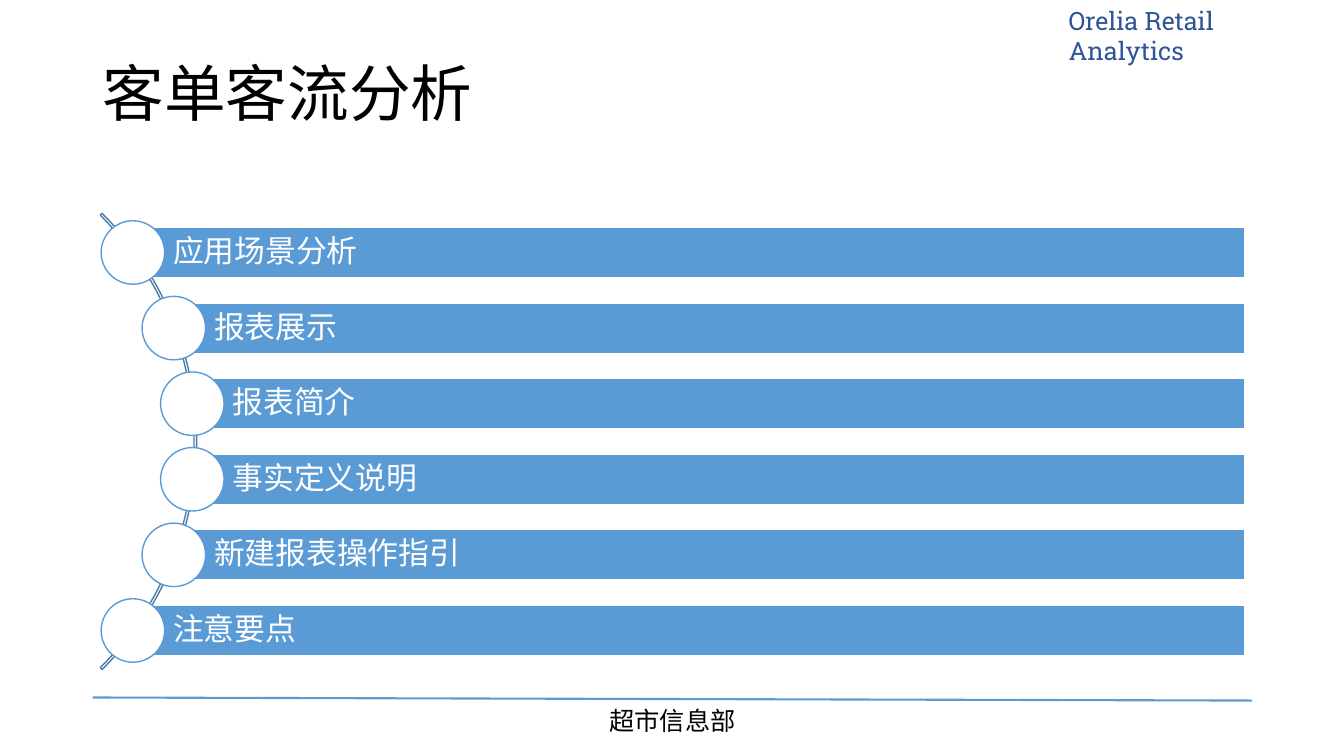
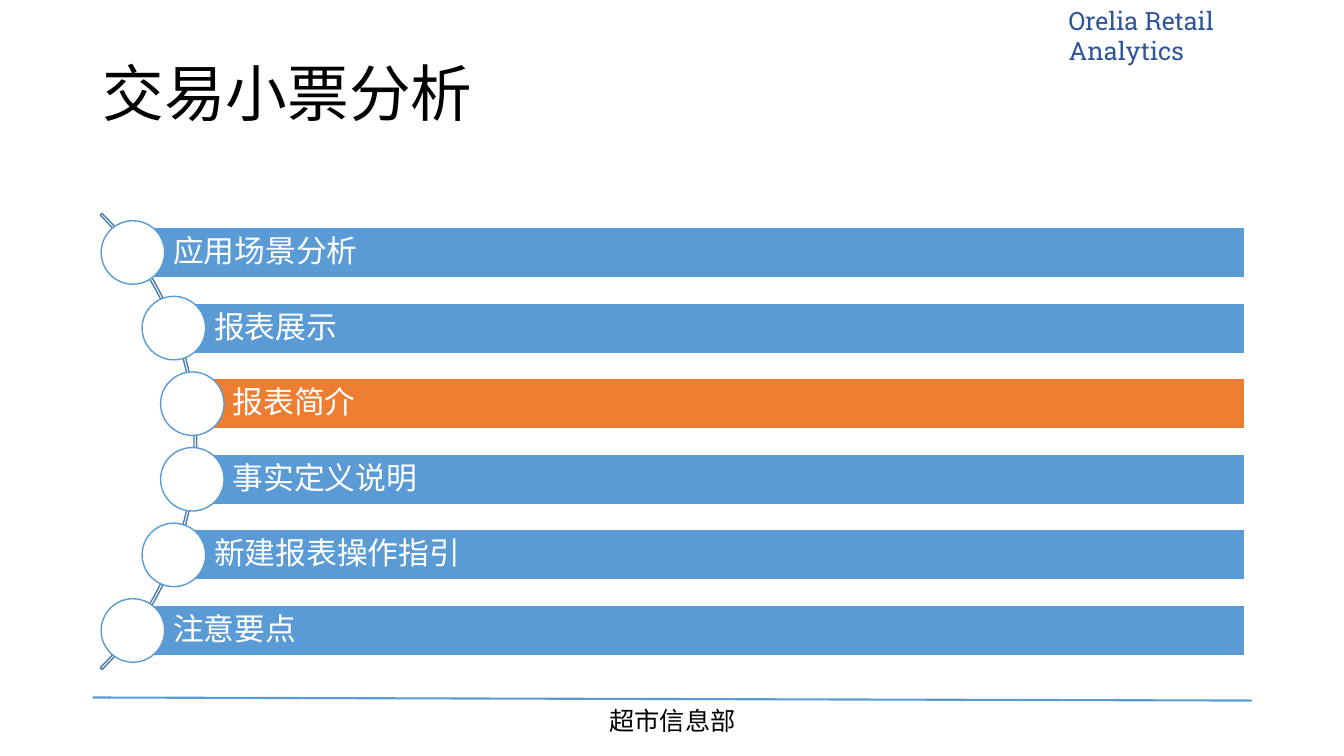
from dataclasses import dataclass
from math import sqrt

from lxml.etree import SubElement as Sub
from pptx import Presentation
from pptx.dml.color import RGBColor as Rgb
from pptx.enum.shapes import MSO_CONNECTOR as Conn, MSO_SHAPE as Geo
from pptx.enum.text import MSO_ANCHOR as Anchor, PP_ALIGN as Align
from pptx.oxml.ns import qn
from pptx.util import Inches, Pt


# Colours, fonts and type sizes
@dataclass(frozen=True)
class Theme:
    blue: str = "5B9BD5"
    navy: str = "2F5597"
    steel: str = "497CAB"
    orange: str = "ED7D31"
    white: str = "FFFFFF"
    black: str = "000000"
    body: str = "Calibri"
    slab: str = "Roboto Slab"
    han: str = "Noto Sans CJK SC"
    head: int = 44
    item: int = 22
    small: int = 18


T = Theme()

TOPICS = ["应用场景分析", "报表展示", "报表简介",
          "事实定义说明", "新建报表操作指引", "注意要点"]
# Title and index of the highlighted topic
PAGES = [("客单客流分析", None), ("交易小票分析", 2)]

# List geometry: dots sit on an arc, bars start at the dot centres
MID_X, MID_Y = -1.25, 4.38
ARC, TRACK = 3.2, 3.18
PITCH, BAR, DOT = 0.75, 0.5, 0.63
RIGHT = 12.35


def write(shape, text, size, color, font=T.body, align=Align.LEFT,
          anchor=Anchor.TOP, pads=(0.1, 0.05, 0.1, 0.05), lead=1.0):
    frame = shape.text_frame
    frame.word_wrap = True
    frame.vertical_anchor = anchor
    (frame.margin_left, frame.margin_top,
     frame.margin_right, frame.margin_bottom) = map(Inches, pads)
    para = frame.paragraphs[0]
    para.text = text
    para.alignment = align
    para.line_spacing = lead
    para.font.size = Pt(size)
    para.font.name = font
    para.font.color.rgb = Rgb.from_string(color)
    # East Asian typeface
    base = para._p.pPr.find(qn("a:defRPr"))
    Sub(base, qn("a:ea")).set("typeface", T.han)


def label(slide, box, *args, **style):
    write(slide.shapes.add_textbox(*map(Inches, box)), *args, **style)


def draw(slide, kind, box, fill, line):
    shape = slide.shapes.add_shape(kind, *map(Inches, box))
    shape.shadow.inherit = False
    if fill:
        shape.fill.solid()
        shape.fill.fore_color.rgb = Rgb.from_string(fill)
    else:
        shape.fill.background()
    shape.line.color.rgb = Rgb.from_string(line)
    shape.line.width = Pt(1)
    return shape


def rule(slide, *ends):
    line = slide.shapes.add_connector(Conn.STRAIGHT, *map(Inches, ends))
    line.line.color.rgb = Rgb.from_string(T.blue)
    line.line.width = Pt(1.5)
    Sub(line._element.spPr, qn("a:effectLst"))


# Header, footer and title
def frame_page(slide, title):
    label(slide, (10.5, 0, 2.83, 0.7), "Orelia Retail Analytics", T.small,
          T.navy, font=T.slab, pads=(0.1, 0.05, 0.4, 0.05))
    rule(slide, 0.92, 6.92, 12.42, 6.95)
    label(slide, (5.6, 6.95, 2.14, 0.4), "超市信息部", T.small, T.black,
          font=T.han, align=Align.CENTER)
    label(slide, (0.92, 0.51, 11.5, 0.89), title, T.head, T.black,
          anchor=Anchor.MIDDLE, lead=0.9)


# Curved topic list
def topic_list(slide, mark):
    arc = draw(slide, Geo.BLOCK_ARC,
               (MID_X - ARC, MID_Y - ARC, 2 * ARC, 2 * ARC), None, T.steel)
    for i, value in enumerate((189, 27, 0.004)):
        arc.adjustments[i] = value
    for i, topic in enumerate(TOPICS):
        drop = (i - (len(TOPICS) - 1) / 2) * PITCH
        x, y = MID_X + sqrt(TRACK ** 2 - drop ** 2), MID_Y + drop
        bar = draw(slide, Geo.RECTANGLE, (x, y - BAR / 2, RIGHT - x, BAR),
                   T.orange if i == mark else T.blue, T.white)
        write(bar, topic, T.item, T.white, anchor=Anchor.MIDDLE,
              pads=(0.4, 0.06, 0.06, 0.06), lead=0.9)
        draw(slide, Geo.OVAL, (x - DOT / 2, y - DOT / 2, DOT, DOT),
             T.white, T.blue)


def main():
    deck = Presentation()
    deck.slide_width, deck.slide_height = Inches(13.33), Inches(7.5)
    for title, mark in PAGES:
        slide = deck.slides.add_slide(deck.slide_layouts[6])
        frame_page(slide, title)
        topic_list(slide, mark)
    deck.save("out.pptx")


if __name__ == "__main__":
    main()
